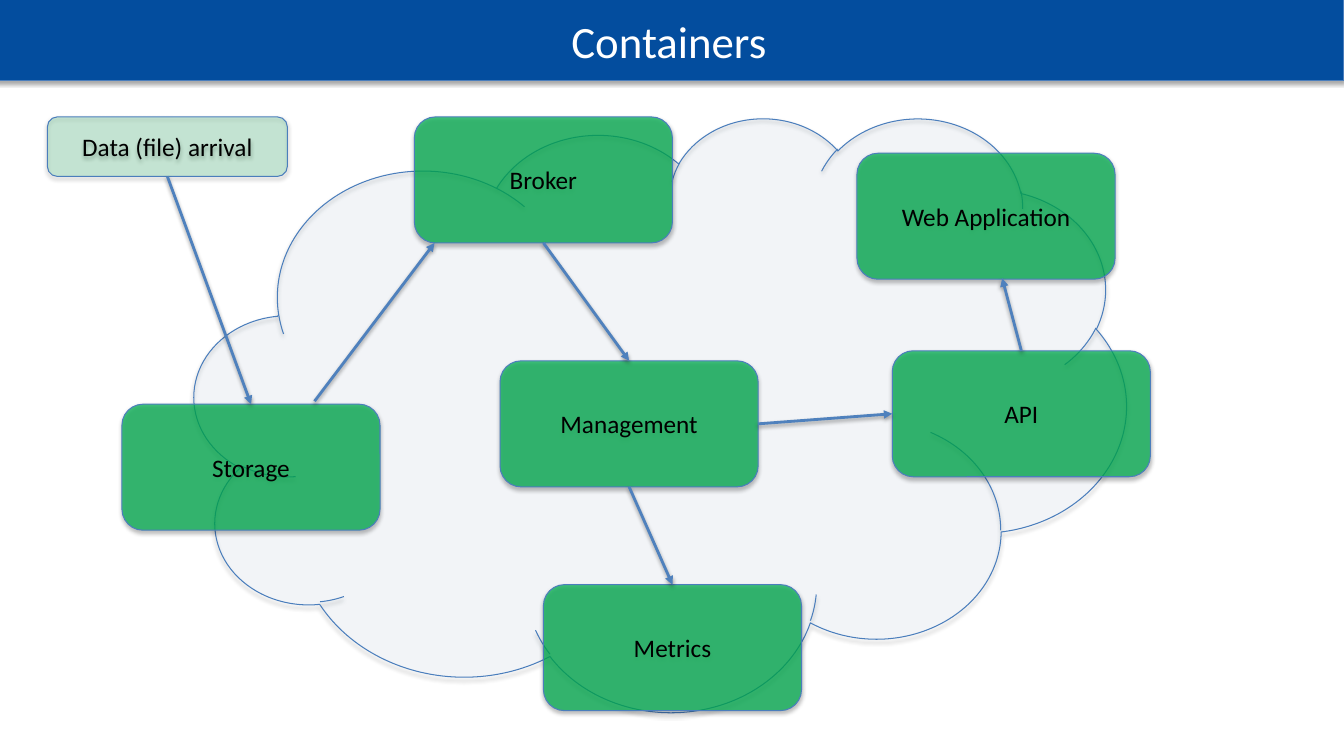
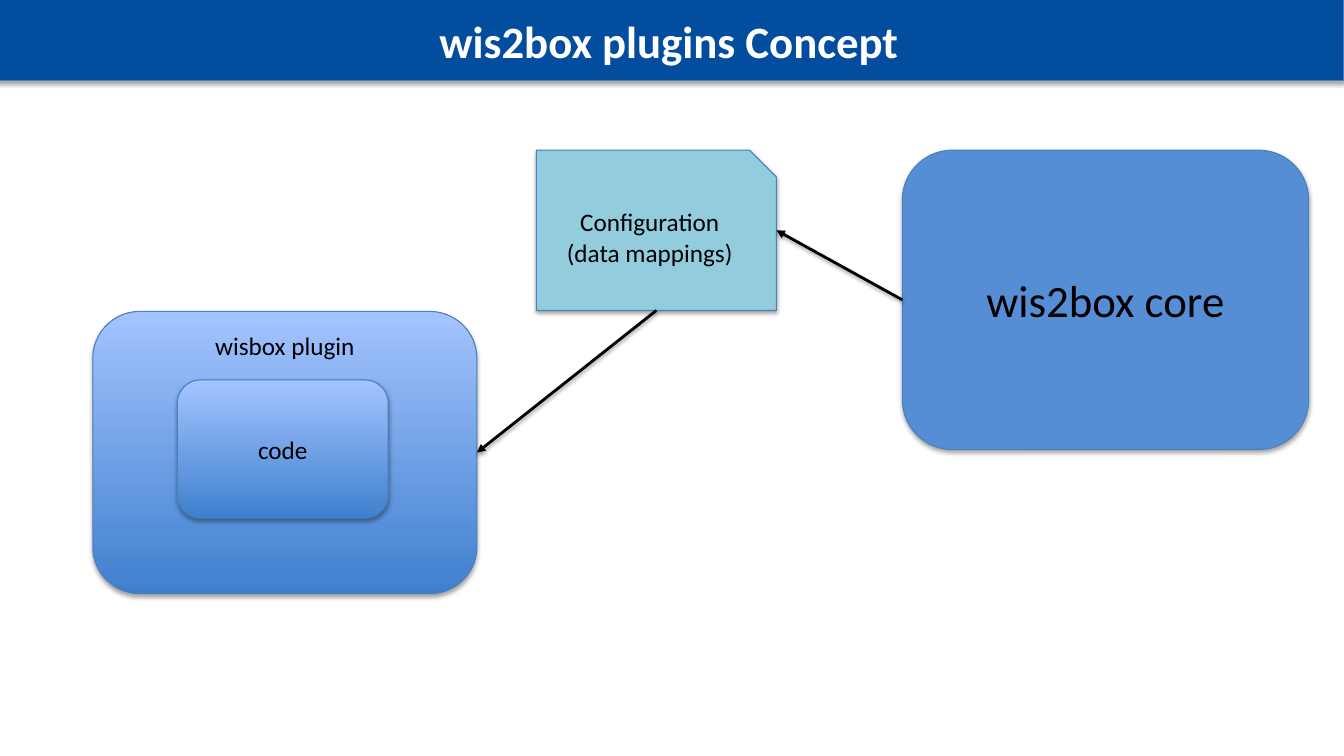
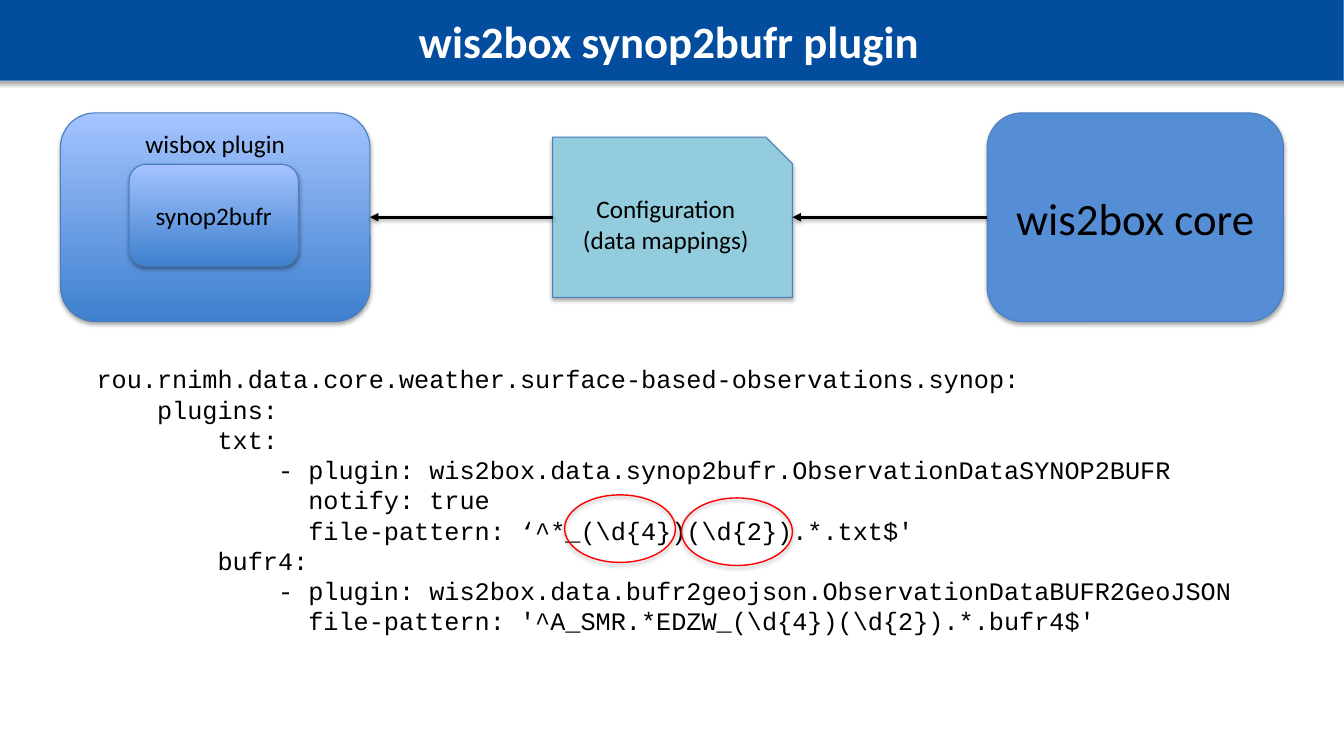
from dataclasses import dataclass

from lxml import etree
from pptx import Presentation
from pptx import util as u
from pptx.dml.color import RGBColor
from pptx.enum import shapes, text
from pptx.oxml import ns

TOP, LEFT, BOTTOM, RIGHT = range(4)
KIND = shapes.MSO_SHAPE


@dataclass(frozen=True)
class Theme:
    font: str = "Calibri"
    code_font: str = "Courier New"
    title_size: int = 32
    body_size: int = 18
    title_bar: str = "034D9E"
    outline: str = "4B7EBC"
    accent: str = "4F81BD"
    container: str = "00B050"
    core: str = "558ED5"
    configuration: str = "93CDDD"
    gradient: tuple = ("3F80CE", "A4C4FF")
    highlight: str = "FF0000"
    dark: str = "000000"
    light: str = "FFFFFF"


THEME = Theme()


# XML helpers
def add_element(parent, tag, **attributes):
    element = etree.SubElement(parent, ns.qn(tag))
    for name, value in attributes.items():
        element.set(name, str(value))
    return element


def add_shadow(shape, distance, opacity):
    effects = add_element(shape._element.spPr, "a:effectLst")
    shadow = add_element(effects, "a:outerShdw", blurRad=u.Pt(3.1), dist=u.Pt(distance),
                         dir=90 * 60000, rotWithShape=0)
    color = add_element(shadow, "a:srgbClr", val=THEME.dark)
    add_element(color, "a:alpha", val=opacity * 1000)


# Fill and text
def paint(shape, fill, opacity):
    if fill is None:
        shape.fill.background()
    elif isinstance(fill, tuple):
        shape.fill.gradient()
        shape.fill.gradient_angle = 90
        for position, (stop, color) in enumerate(zip(shape.fill.gradient_stops, fill)):
            stop.position = position
            stop.color.rgb = RGBColor.from_string(color)
    else:
        shape.fill.solid()
        shape.fill.fore_color.rgb = RGBColor.from_string(fill)
        if opacity < 100:
            color = shape._element.spPr.find(".//" + ns.qn("a:srgbClr"))
            add_element(color, "a:alpha", val=opacity * 1000)


def add_run(paragraph, content, size, color=THEME.dark, bold=False, font=THEME.font):
    run = paragraph.add_run()
    run.text = content
    run.font.name = font
    run.font.size = u.Pt(size)
    run.font.bold = bold
    run.font.color.rgb = RGBColor.from_string(color)


def add_label(shape, lines, anchor=text.MSO_ANCHOR.MIDDLE, **style):
    frame = shape.text_frame
    frame.word_wrap = True
    frame.vertical_anchor = anchor
    paragraph = frame.paragraphs[0]
    paragraph.alignment = text.PP_ALIGN.CENTER
    for index, line in enumerate(lines):
        if index:
            paragraph.add_line_break()
        add_run(paragraph, line, **style)


# Shapes and arrows
def add_box(parent, kind, box, fill, opacity=100, line=THEME.outline, line_width=0.75):
    shape = parent.shapes.add_shape(kind, *map(u.Inches, box))
    paint(shape, fill, opacity)
    shape.line.color.rgb = RGBColor.from_string(line)
    shape.line.width = u.Pt(line_width)
    add_shadow(shape, distance=1.8, opacity=35)
    return shape


def side_point(shape, side):
    across = {LEFT: 0, RIGHT: shape.width}.get(side, shape.width // 2)
    down = {TOP: 0, BOTTOM: shape.height}.get(side, shape.height // 2)
    return shape.left + across, shape.top + down


def add_arrow(slide, start, end, color):
    """Each end is a (shape, side) pair or an (x, y) point in inches."""
    ends = (start, end)
    joined = [not isinstance(target, (int, float)) for target, _ in ends]
    points = [side_point(*pair) if is_shape else tuple(map(u.Inches, pair))
              for pair, is_shape in zip(ends, joined)]
    arrow = slide.shapes.add_connector(shapes.MSO_CONNECTOR.STRAIGHT, *points[0], *points[1])
    for pair, is_shape, connect in zip(ends, joined, (arrow.begin_connect, arrow.end_connect)):
        if is_shape and pair[0].auto_shape_type == KIND.ROUNDED_RECTANGLE:
            connect(*pair)
    arrow.line.color.rgb = RGBColor.from_string(color)
    arrow.line.width = u.Pt(2)
    add_element(arrow.line._get_or_add_ln(), "a:tailEnd", type="triangle")
    add_shadow(arrow, distance=1.6, opacity=38)


# Parts the slides share
def add_titled_slide(presentation, title, bold=True):
    slide = presentation.slides.add_slide(presentation.slide_layouts[6])
    bar = add_box(slide, KIND.RECTANGLE, (-0.06, 0, 13.39, 0.8), THEME.title_bar)
    add_label(bar, [title], size=THEME.title_size, color=THEME.light, bold=bold)
    return slide


def add_container(slide, name, left, top, width=2.56, height=1.25, opacity=73):
    shape = add_box(slide, KIND.ROUNDED_RECTANGLE, (left, top, width, height),
                    THEME.container, opacity)
    add_label(shape, [name], size=THEME.body_size)
    return shape


def add_plugin_flow(slide, code_name, plugin_box, code_box, configuration_at, core_box):
    """Draws plugin, configuration and core; returns them in that order."""
    group = slide.shapes.add_group_shape()
    plugin, code = (add_box(group, KIND.ROUNDED_RECTANGLE, box, THEME.gradient)
                    for box in (plugin_box, code_box))
    add_label(plugin, ["wisbox plugin"], text.MSO_ANCHOR.TOP, size=THEME.body_size)
    add_label(code, [code_name], size=THEME.body_size)
    configuration = add_box(slide, KIND.SNIP_1_RECTANGLE, (*configuration_at, 2.38, 1.59),
                            THEME.configuration)
    add_label(configuration, ["Configuration", "(data mappings)"], size=THEME.body_size)
    core = add_box(slide, KIND.ROUNDED_RECTANGLE, core_box, THEME.core)
    add_label(core, ["wis2box core"], size=THEME.title_size)
    add_arrow(slide, (core, LEFT), (configuration, RIGHT), THEME.dark)
    return plugin, configuration, core


def add_code(slide, box, lines):
    frame = slide.shapes.add_textbox(*map(u.Inches, box)).text_frame
    frame.word_wrap = True
    character_width = u.Pt(THEME.body_size * 0.6)
    for index, (indent, line) in enumerate(lines):
        paragraph = frame.add_paragraph() if index else frame.paragraphs[0]
        properties = paragraph._p.get_or_add_pPr()
        properties.set("marL", str(indent * character_width))
        properties.set("indent", "0")
        add_run(paragraph, line, THEME.body_size, font=THEME.code_font)


# Slides
def build_containers(presentation):
    slide = add_titled_slide(presentation, "Containers", bold=False)
    add_box(slide, KIND.CLOUD, (1.93, 1.16, 9.24, 5.89), THEME.accent, opacity=5)
    management = add_container(slide, "Management", 4.96, 3.58)
    broker = add_container(slide, "Broker", 4.11, 1.16)
    storage = add_container(slide, "Storage", 1.21, 4.01)
    api = add_container(slide, "API", 8.85, 3.48)
    add_container(slide, "Web Application", 8.5, 1.52)
    metrics = add_container(slide, "Metrics", 5.39, 5.8)
    arrival = add_container(slide, "Data (file) arrival", 0.47, 1.16, 2.38, 0.59, opacity=18)
    for start, end in (
        ((arrival, BOTTOM), (storage, TOP)),
        ((3.12, 3.98), (4.31, 2.41)),
        ((broker, BOTTOM), (management, TOP)),
        ((management, RIGHT), (api, LEFT)),
        ((api, TOP), (9.94, 2.76)),
        ((management, BOTTOM), (metrics, TOP)),
    ):
        add_arrow(slide, start, end, THEME.accent)


def build_plugin_concept(presentation):
    slide = add_titled_slide(presentation, "wis2box plugins Concept")
    plugin, configuration, _ = add_plugin_flow(
        slide, "code", plugin_box=(0.92, 3.09, 3.81, 2.8), code_box=(1.76, 3.77, 2.09, 1.37),
        configuration_at=(5.32, 1.49), core_box=(8.95, 1.49, 4.03, 2.97))
    add_arrow(slide, (configuration, BOTTOM), (plugin, RIGHT), THEME.dark)


def build_synop_plugin(presentation):
    slide = add_titled_slide(presentation, "wis2box synop2bufr plugin")
    plugin, configuration, _ = add_plugin_flow(
        slide, "synop2bufr", plugin_box=(0.6, 1.12, 3.07, 2.07), code_box=(1.28, 1.63, 1.68, 1.01),
        configuration_at=(5.48, 1.36), core_box=(9.79, 1.12, 2.94, 2.07))
    add_arrow(slide, (configuration, LEFT), (plugin, RIGHT), THEME.dark)
    # Indents are counted in characters
    add_code(slide, (0.26, 3.56, 12.88, 2.83), (
        (4, "rou.rnimh.data.core.weather.surface-based-observations.synop:"),
        (8, "plugins:"),
        (12, "txt:"),
        (16, "- plugin: wis2box.data.synop2bufr.ObservationDataSYNOP2BUFR"),
        (18, "notify: true"),
        (18, r"file-pattern: ‘^*_(\d{4})(\d{2}).*.txt$'"),
        (12, "bufr4:"),
        (16, "- plugin: wis2box.data.bufr2geojson.ObservationDataBUFR2GeoJSON"),
        (18, r"file-pattern: '^A_SMR.*EDZW_(\d{4})(\d{2}).*.bufr4$'"),
    ))
    # Rings around the two pattern groups
    for left, top in ((5.6, 4.91), (6.76, 4.94)):
        add_box(slide, KIND.OVAL, (left, top, 1.1, 0.67), None,
                line=THEME.highlight, line_width=1)


def main():
    presentation = Presentation()
    presentation.slide_width = u.Inches(13.33)
    presentation.slide_height = u.Inches(7.5)
    build_containers(presentation)
    build_plugin_concept(presentation)
    build_synop_plugin(presentation)
    presentation.save("out.pptx")


if __name__ == "__main__":
    main()
